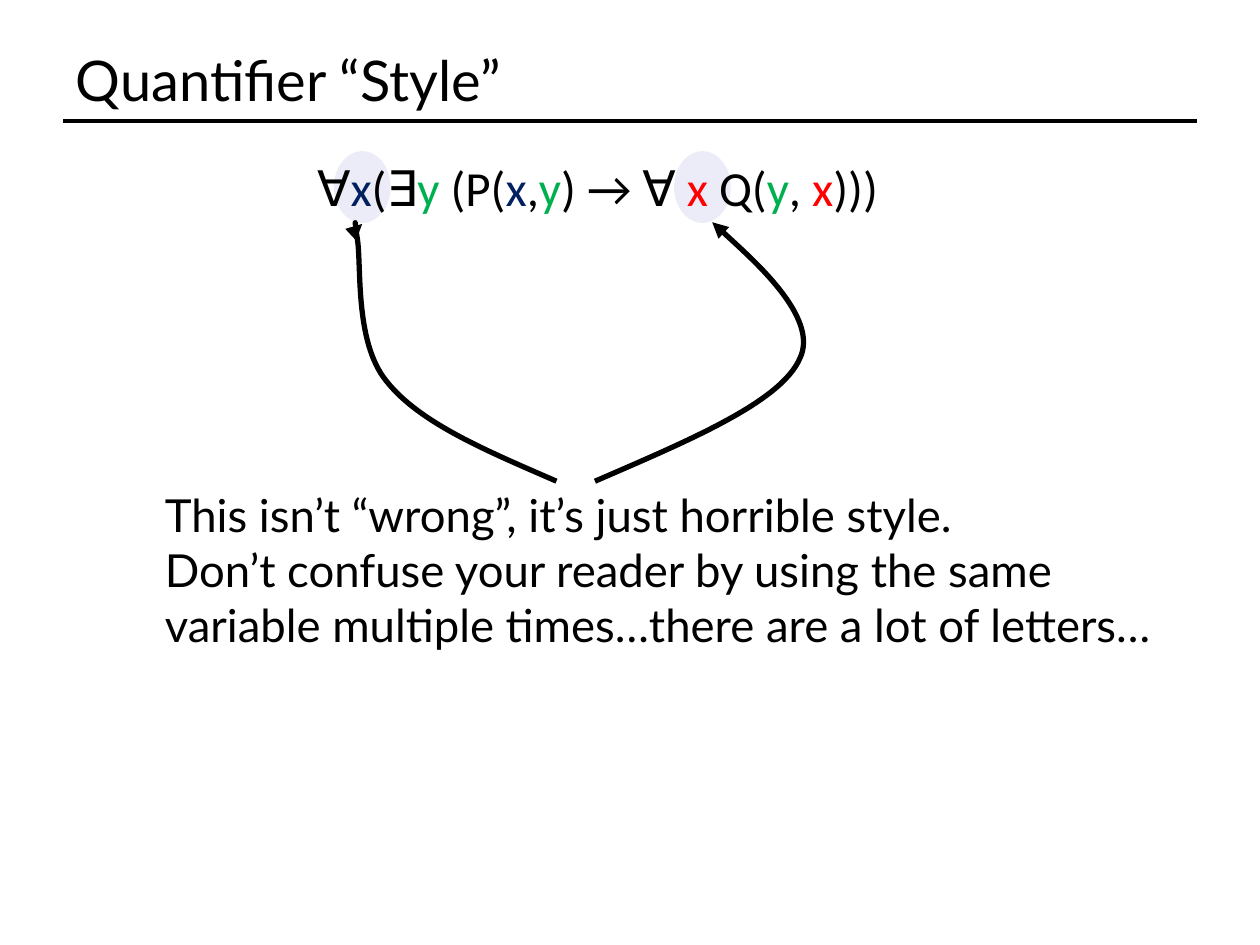
from lxml.etree import SubElement
from pptx import Presentation
from pptx.dml.color import RGBColor
from pptx.enum.shapes import MSO_CONNECTOR as Connector, MSO_SHAPE as Shape
from pptx.enum.text import MSO_ANCHOR as Anchor, MSO_AUTO_SIZE as AutoSize, PP_ALIGN as Align
from pptx.oxml.ns import qn
from pptx.util import Pt

COLORS = {"black": "000000", "navy": "002060", "green": "00B050",
          "red": "FF0000", "highlight": "E0E0F5"}
TITLE = "Quantifier “Style”"
FORMULA = [("∀", "black"), ("x", "navy"), ("(∃", "black"), ("y", "green"),
           (" (P(", "black"), ("x", "navy"), (",", "black"), ("y", "green"),
           (") → ∀ ", "black"), ("x", "red"), (" Q(", "black"), ("y", "green"),
           (", ", "black"), ("x", "red"), (")))", "black")]
ADVICE = ["This isn’t “wrong”, it’s just horrible style.",
          "Don’t confuse your reader by using the same variable multiple "
          "times…there are a lot of letters…"]
HIGHLIGHT_LEFTS = [190.8, 385.2]
ARROWS = [
    [(318, 275), (278.6, 258.5), (239.8, 241.9), (221, 218.2),
     (201.6, 195.1), (206.6, 149.8), (203.8, 134.6),
     (201.6, 119.5), (206.6, 128.2), (206.6, 128.2)],
    [(339.8, 275), (393.1, 252), (445.7, 229.7), (457.2, 205.2),
     (468.7, 180.7), (406.8, 127.4), (406.8, 127.4)],
]


def color(name):
    return RGBColor.from_string(COLORS[name])


def style_font(font, name, size):
    font.name = name
    font.size = Pt(size)
    font.color.rgb = color("black")


def clear_effects(shape):
    SubElement(shape._element.spPr, qn("a:effectLst"))


def add_text_box(slide, left, top, width, height, wrap):
    frame = slide.shapes.add_textbox(Pt(left), Pt(top), Pt(width), Pt(height)).text_frame
    frame.word_wrap = wrap
    frame.auto_size = AutoSize.SHAPE_TO_FIT_TEXT
    return frame


def add_highlight(slide, left):
    ellipse = slide.shapes.add_shape(Shape.OVAL, Pt(left), Pt(86.4), Pt(32.4), Pt(41))
    ellipse.shadow.inherit = False
    ellipse.line.fill.background()
    ellipse.fill.solid()
    ellipse.fill.fore_color.rgb = color("highlight")
    fill_color = next(ellipse._element.spPr.iter(qn("a:srgbClr")))
    SubElement(fill_color, qn("a:alpha"), val="61000")


def add_curved_arrow(slide, points):
    builder = slide.shapes.build_freeform(*points[0], scale=Pt(1))
    builder.add_line_segments(points[1:], close=False)
    arrow = builder.convert_to_shape()
    arrow.shadow.inherit = False
    arrow.fill.background()
    arrow.line.color.rgb = color("black")
    arrow.line.width = Pt(3)
    SubElement(arrow.line._get_or_add_ln(), qn("a:tailEnd"), type="triangle")
    path = next(arrow._element.iter(qn("a:path")))
    segments = path.findall(qn("a:lnTo"))
    for start in range(0, len(segments), 3):
        curve = SubElement(path, qn("a:cubicBezTo"))
        for segment in segments[start:start + 3]:
            curve.append(segment[0])
            path.remove(segment)


def main():
    presentation = Presentation()
    presentation.slide_width, presentation.slide_height = Pt(720), Pt(540)
    slide = presentation.slides.add_slide(presentation.slide_layouts[5])

    title = slide.shapes.title
    title.left, title.top, title.width, title.height = Pt(36), Pt(21.6), Pt(648), Pt(47.5)
    title.text_frame.text = TITLE
    title.text_frame.vertical_anchor = Anchor.MIDDLE
    heading = title.text_frame.paragraphs[0]
    heading.alignment = Align.LEFT
    style_font(heading.font, "Lato", 32)

    rule = slide.shapes.add_connector(Connector.STRAIGHT, Pt(36), Pt(69.1), Pt(684), Pt(69.1))
    rule.line.color.rgb = color("black")
    rule.line.width = Pt(2)
    clear_effects(rule)

    for left in HIGHLIGHT_LEFTS:
        add_highlight(slide, left)

    formula = add_text_box(slide, 174.2, 86.4, 338.4, 41, False).paragraphs[0]
    style_font(formula.font, "Calibri", 28)
    for text, color_name in FORMULA:
        run = formula.add_run()
        run.text = text
        run.font.color.rgb = color(color_name)

    for points in ARROWS:
        add_curved_arrow(slide, points)

    advice = add_text_box(slide, 87.1, 275, 578.2, 101.5, True)
    advice.text = "\n".join(ADVICE)
    for paragraph in advice.paragraphs:
        style_font(paragraph.font, "Lato", 26)

    presentation.save("out.pptx")


if __name__ == "__main__":
    main()
